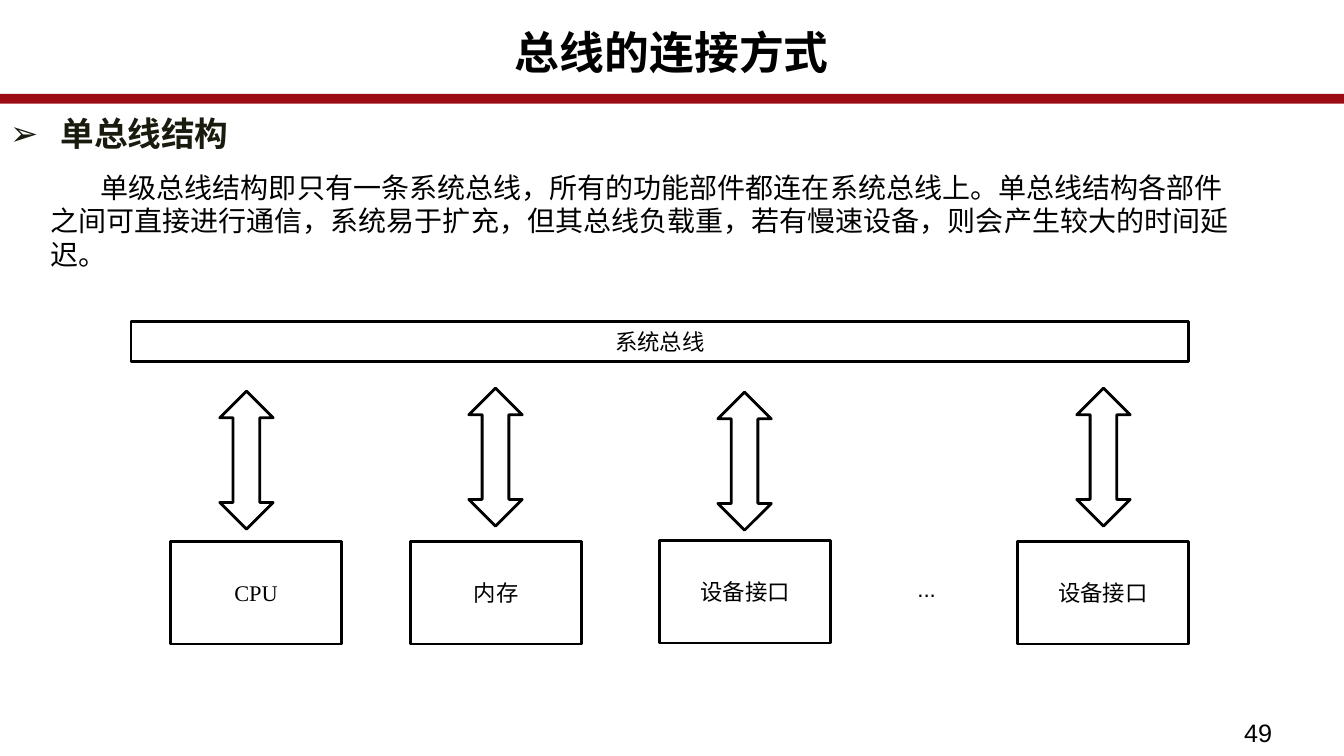
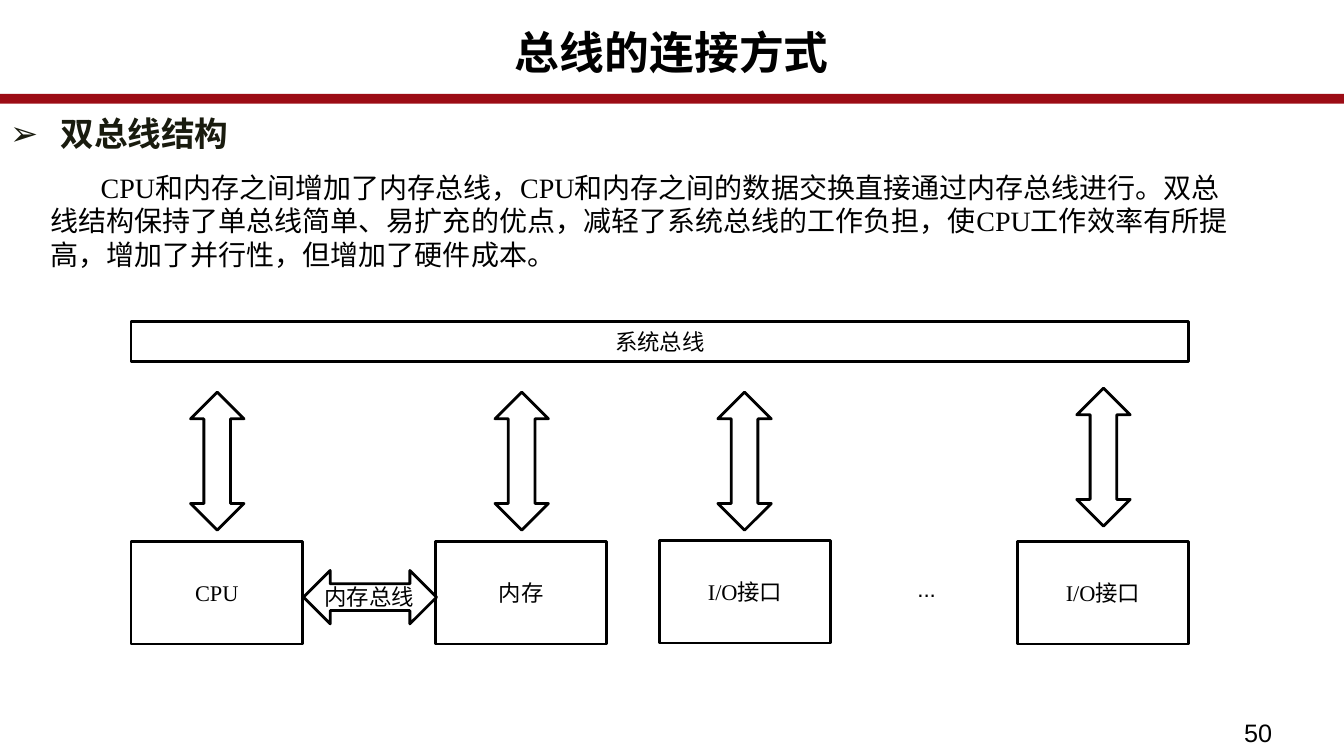
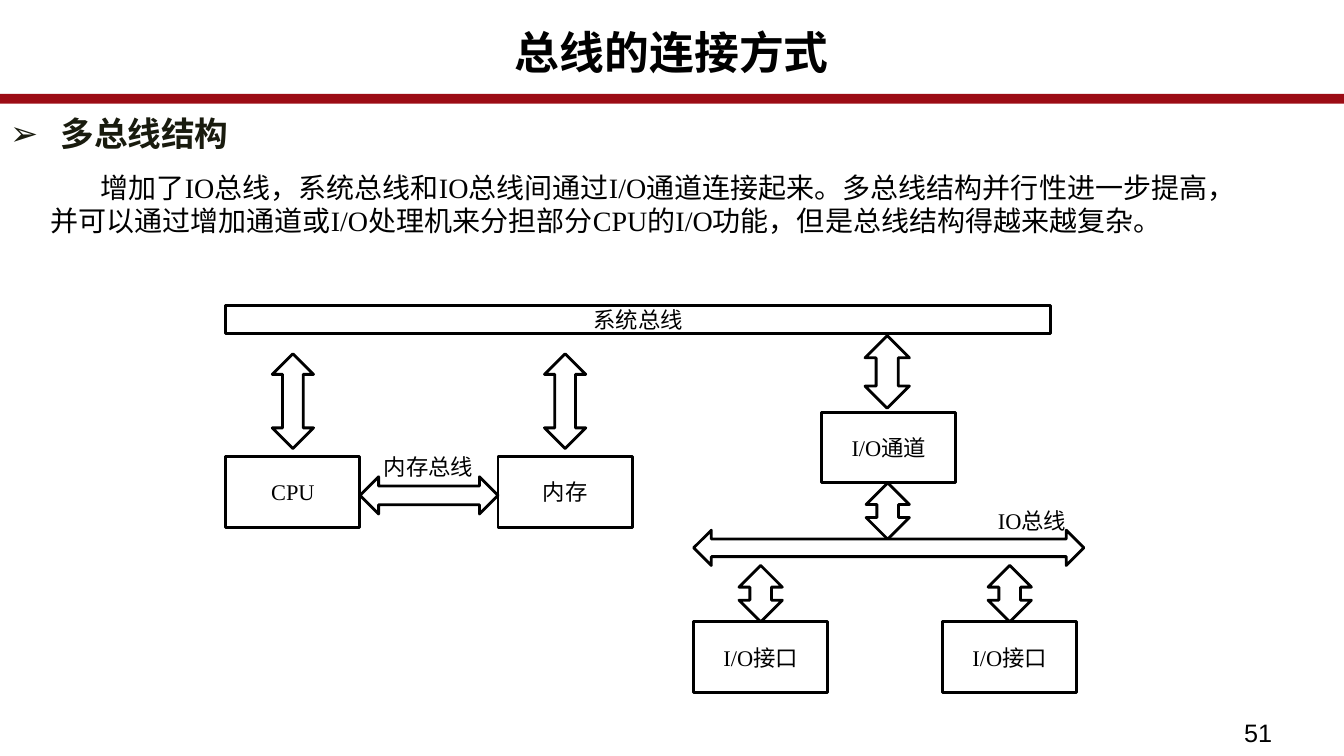
from lxml.etree import SubElement
from pptx import Presentation
from pptx.dml.color import RGBColor
from pptx.enum.lang import MSO_LANGUAGE_ID as Language
from pptx.enum.shapes import MSO_SHAPE as Shape
from pptx.enum.text import MSO_ANCHOR as Anchor, MSO_AUTO_SIZE as Fit, PP_ALIGN as Align
from pptx.oxml.ns import qn
from pptx.util import Emu, Pt

PX = 9144
COLORS = {"band": "9C0C15", "heading": "191B0E", "ink": "000000", "paper": "FFFFFF"}
SERIF, SANS, PLAIN = "Times New Roman", "Noto Sans CJK SC", "Arial"
TITLE_BOX, HEADING_BOX = (0, 26, 1333, 75), (0, 110, 638, 51)
FIRST_PAGE = 49

CPU = [("CPU", SERIF)]
MEMORY = [("内存", SANS)]
DEVICE = [("设备接口", SANS)]
PORT = [("I/O", SERIF), ("接口", SANS)]
SYSTEM_BUS = [("系统总线", SANS)]
MEMORY_BUS = [("内存总线", PLAIN)]


def px(*lengths):
    """Turn pixel lengths into EMU."""
    return [Emu(round(length * PX)) for length in lengths]


def color(name):
    """Look up a palette colour."""
    return RGBColor.from_string(COLORS[name])


def write_text(frame, spans, size=16, ink="ink", bold=None, align=None, anchor=Anchor.TOP,
               wrap=True, fit=Fit.NONE, spacing=None, after=None, margin=0, indent=0, bullet=None):
    """Fill a text frame with one paragraph of (text, font) spans."""
    frame.word_wrap, frame.auto_size, frame.vertical_anchor = wrap, fit, anchor
    para = frame.paragraphs[0]
    if margin or indent:
        properties = para._p.get_or_add_pPr()
        for key, length in (("marL", margin), ("indent", indent)):
            properties.set(key, str(px(length)[0]))
        if bullet:
            SubElement(properties, qn("a:buChar")).set("char", bullet)
    if align is not None:
        para.alignment = align
    if spacing is not None:
        para.line_spacing = spacing
        para.space_before = Pt(0)
    if after is not None:
        para.space_after = Pt(after)
    for text, font in spans:
        span = para.add_run()
        span.text = text
        span.font.name, span.font.size, span.font.bold = font, Pt(size), bold
        span.font.color.rgb = color(ink)
        span.font.language_id = Language.SIMPLIFIED_CHINESE


def add_text(page, box, spans, **style):
    """Add a text box."""
    write_text(page.shapes.add_textbox(*px(*box)).text_frame, spans, **style)


def add_figure(page, kind, box, fill="paper", line="ink", weight=2):
    """Add a flat preset shape with an outline."""
    figure = page.shapes.add_shape(kind, *px(*box))
    figure.shadow.inherit = False
    figure.fill.solid()
    figure.fill.fore_color.rgb = color(fill)
    figure.line.color.rgb = color(line)
    figure.line.width = Pt(weight)
    return figure


def add_block(page, box, spans):
    """Add an outlined block with a centred label."""
    block = add_figure(page, Shape.RECTANGLE, box)
    write_text(block.text_frame, spans, align=Align.CENTER, anchor=Anchor.MIDDLE)


def add_arrow(page, box, across=False):
    """Add a two-headed arrow filling a box, upright or turned across."""
    left, top, width, height = box
    if across:
        shift = (width - height) / 2
        box = (left + shift, top - shift, height, width)
    arrow = add_figure(page, Shape.UP_DOWN_ARROW, box)
    arrow.rotation = 90 if across else 0


def prepare_layout(deck):
    """Place the shared title, heading and band on the layout."""
    layout = deck.slide_layouts[1]
    for holder, box in zip(layout.placeholders, (TITLE_BOX, HEADING_BOX)):
        holder.left, holder.top, holder.width, holder.height = px(*box)
    return layout


def add_band(page):
    """Draw the red band and move it to the layout of the page."""
    band = add_figure(page, Shape.ROUNDED_RECTANGLE, (-1, 95, 1334, 6), "band", "band", 2.75)
    page.slide_layout.shapes.element.insert(2, band.element)


def add_page(deck, layout, number, heading, body, body_height):
    """Add a page with its title, heading, paragraph and number."""
    page = deck.slides.add_slide(layout)
    write_text(page.shapes.title.text_frame, [("总线的连接方式", SERIF)], size=32, bold=True,
               align=Align.CENTER, spacing=0.89)
    write_text(page.placeholders[1].text_frame, [(heading, SERIF)], size=24, bold=True,
               ink="heading", spacing=0.94, after=2, margin=50, indent=-50, bullet="➢")
    add_text(page, (1224, 707, 109, 44), [(str(number), PLAIN)], size=18)
    add_text(page, (40, 164, 1198, body_height), [(body, SERIF)], size=20, indent=50,
             fit=Fit.SHAPE_TO_FIT_TEXT)
    return page


def draw_shared_bus(page, box, units):
    """Draw a bus with units (label, left, top, arrow shift, arrow top) below it."""
    left, top, width, height = box
    add_block(page, (left, top, width, 40), SYSTEM_BUS)
    for label, unit_left, unit_top, shift, arrow_top in units:
        add_arrow(page, (left + unit_left + shift, top + arrow_top, 53, 137))
        add_block(page, (left + unit_left, top + unit_top, 170, 102), label)
    add_text(page, (left + 770, top + 247, 58, 37), [("...", PLAIN)], fit=Fit.SHAPE_TO_FIT_TEXT)


def draw_memory_link(page, box):
    """Draw the memory bus between processor and memory."""
    left, top, width, height = box
    add_arrow(page, box, across=True)
    add_text(page, (left + 11, top + 8, 109, 37), MEMORY_BUS, wrap=False,
             fit=Fit.SHAPE_TO_FIT_TEXT)


def draw_core(page, box):
    """Draw the system bus with processor and memory under it."""
    left, top, width, height = box
    add_block(page, (left, top, width, 28), SYSTEM_BUS)
    for label, shift in ((CPU, 0), (MEMORY, 270)):
        add_arrow(page, (left + shift + 46, top + 48, 41, 94))
        add_block(page, (left + shift, top + 150, 133, 70), label)
    add_arrow(page, (left + 133, top + 170, 137, 37), across=True)
    add_text(page, (left + 147, top + 142, 137, 37), MEMORY_BUS, fit=Fit.SHAPE_TO_FIT_TEXT)


def draw_channel(page, box):
    """Draw the channel, its bus and the two ports."""
    left, top, width, height = box
    add_arrow(page, (left + 170, top, 44, 72))
    add_block(page, (left + 127, top + 76, 133, 70), [("I/O通道", SERIF)])
    add_arrow(page, (left + 171, top + 146, 43, 56))
    add_arrow(page, (left, top + 193, width, 35), across=True)
    for shift in (0, 247):
        add_arrow(page, (left + shift + 45, top + 228, 43, 56))
        add_block(page, (left + shift, top + 284, 133, 70), [("I/O接口", SERIF)])
    add_text(page, (left + 292, top + 165, 137, 37), [("IO", SERIF), ("总线", PLAIN)],
             fit=Fit.SHAPE_TO_FIT_TEXT)


def main():
    """Build and save the deck."""
    deck = Presentation()
    deck.slide_width, deck.slide_height = px(1333, 750)
    layout = prepare_layout(deck)
    contents = [
        ("单总线结构", "单级总线结构即只有一条系统总线，所有的功能部件都连在系统总线上。单总线结构各部件之间可直接进行通信，系统易于扩充，但其总线负载重，若有慢速设备，则会产生较大的时间延迟。", 111),
        ("双总线结构", "CPU和内存之间增加了内存总线，CPU和内存之间的数据交换直接通过内存总线进行。双总线结构保持了单总线简单、易扩充的优点，减轻了系统总线的工作负担，使CPU工作效率有所提高，增加了并行性，但增加了硬件成本。", 111),
        ("多总线结构", "增加了IO总线，系统总线和IO总线间通过I/O通道连接起来。多总线结构并行性进一步提高，并可以通过增加通道或I/O处理机来分担部分CPU的I/O功能，但是总线结构得越来越复杂。", 77),
    ]
    single, double, multiple = [add_page(deck, layout, number, *content)
                                for number, content in enumerate(contents, FIRST_PAGE)]
    add_band(single)
    bus_box = (130, 319, 1049, 320)
    draw_shared_bus(single, bus_box, [
        (CPU, 39, 218, 49, 69), (MEMORY, 277, 218, 58, 66),
        (DEVICE, 524, 217, 58, 70), (DEVICE, 879, 218, 59, 66)])
    draw_shared_bus(double, bus_box, [
        (CPU, 0, 218, 59, 70), (MEMORY, 302, 218, 59, 70),
        (PORT, 524, 217, 58, 70), (PORT, 879, 218, 59, 66)])
    draw_memory_link(double, (301, 566, 132, 53))
    draw_core(multiple, (224, 303, 818, 220))
    draw_channel(multiple, (688, 333, 387, 354))
    deck.save("out.pptx")


if __name__ == "__main__":
    main()
